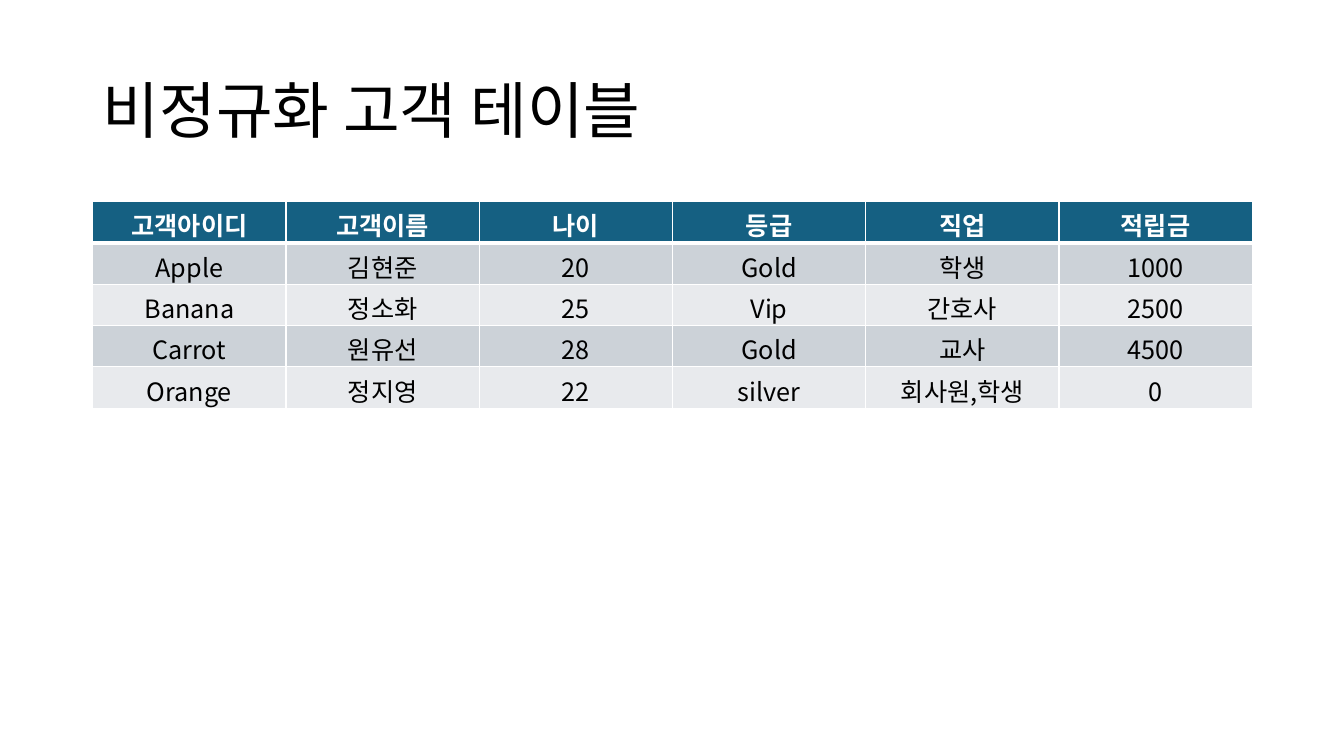
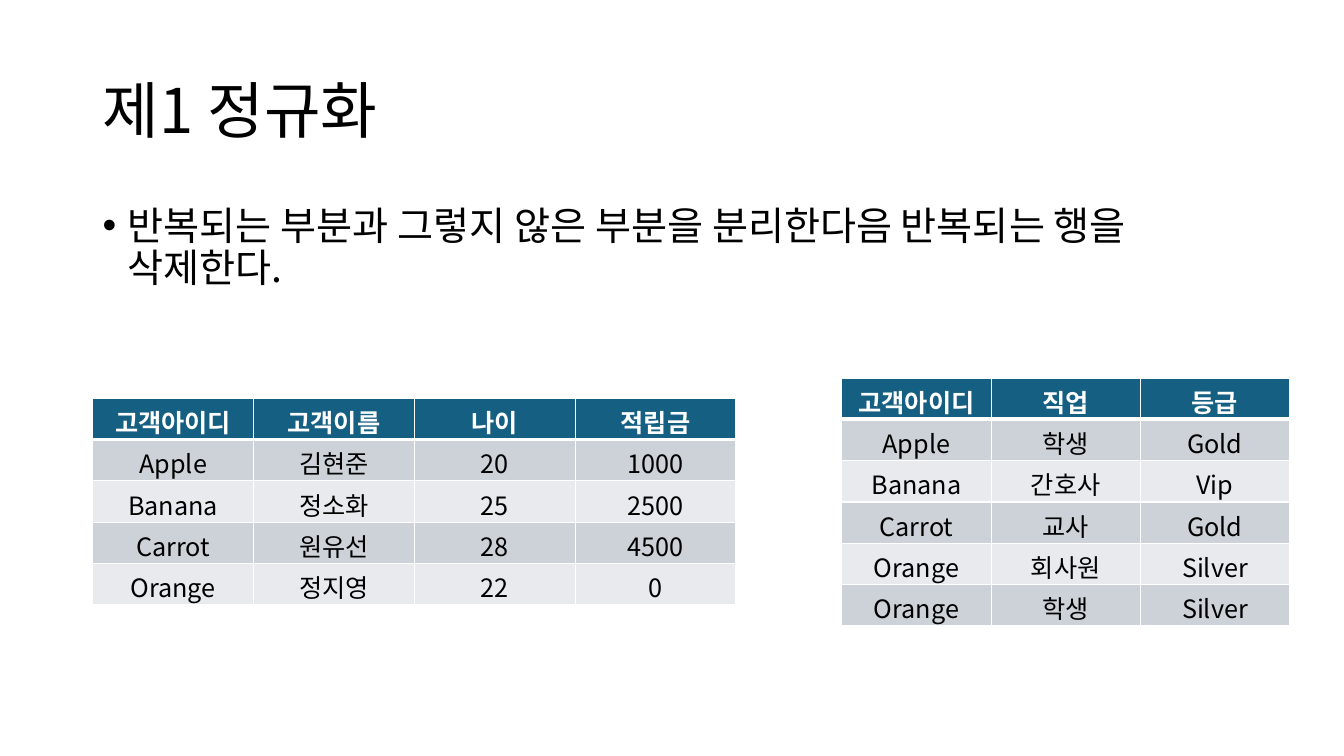
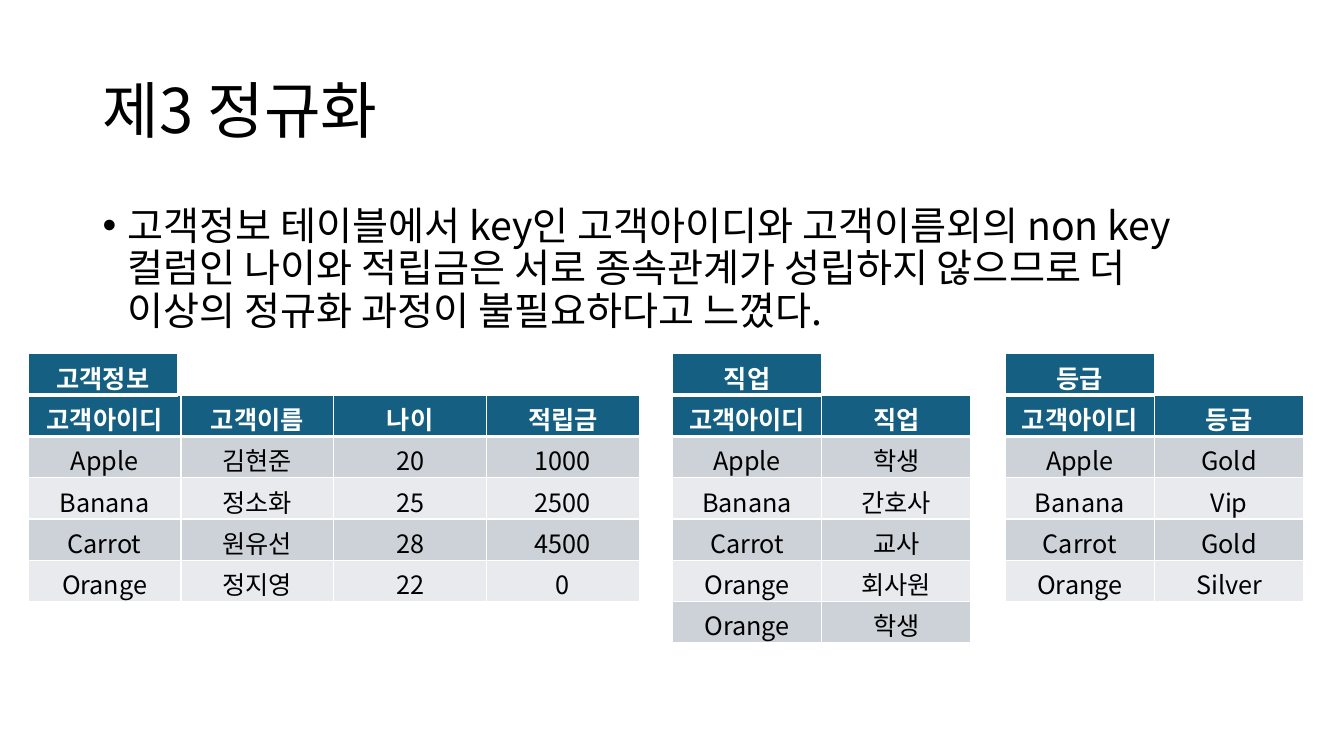
from lxml import etree
from pptx import Presentation
from pptx import util as u
from pptx.dml.color import RGBColor
from pptx.enum import text
from pptx.oxml.ns import qn

FONT = "Noto Sans CJK KR"
COLORS = {"ink": "000000", "white": "FFFFFF", "head": "156082",
          "odd": "CCD2D8", "even": "E8EAED"}
LEFT, WIDTH = 0.92, 11.5
ROW_H, COL_W = 0.41, 1.48

TITLE = {"size": u.Pt(44), "bold": False}
BODY = {"size": u.Pt(28), "bold": False}
HEAD = {"size": u.Pt(18), "bold": True}
CELL = {"size": u.Pt(18), "bold": False}

ID, NAME, AGE, GRADE, JOB, POINTS = FIELDS = (
    "고객아이디", "고객이름", "나이", "등급", "직업", "적립금")
RECORDS = [
    ("Apple", "김현준", "20", "Gold", "학생", "1000"),
    ("Banana", "정소화", "25", "Vip", "간호사", "2500"),
    ("Carrot", "원유선", "28", "Gold", "교사", "4500"),
    ("Orange", "정지영", "22", "silver", "회사원,학생", "0"),
]
CUSTOMERS = [dict(zip(FIELDS, record)) for record in RECORDS]
GRADED = [{**c, GRADE: c[GRADE].capitalize()} for c in CUSTOMERS]
BY_JOB = [{**c, JOB: job} for c in GRADED for job in c[JOB].split(",")]


def pick(rows, *fields):
    return [fields] + [[row[field] for field in fields] for row in rows]


def add_run(p, words, fmt, color):
    r = p.add_run()
    r.text = words
    for key, value in {"name": FONT, **fmt}.items():
        setattr(r.font, key, value)
    r.font.color.rgb = RGBColor.from_string(COLORS[color])
    etree.SubElement(r.font._element, qn("a:ea"), typeface=FONT)


def add_text(s, words, top, height, fmt, anchor):
    sp = s.shapes.add_textbox(*map(u.Inches, (LEFT, top, WIDTH, height)))
    tf = sp.text_frame
    for key, value in {"word_wrap": True, "vertical_anchor": anchor}.items():
        setattr(tf, key, value)
    p = tf.paragraphs[0]
    p.line_spacing = 0.9
    add_run(p, words, fmt, "ink")
    return p


def add_bullet(s, words):
    p = add_text(s, words, 2, 4.76, BODY, text.MSO_ANCHOR.TOP)
    p.space_before = u.Pt(10)
    pPr = p._p.get_or_add_pPr()
    pPr.set("marL", str(u.Inches(0.25)))
    pPr.set("indent", str(u.Inches(-0.25)))
    etree.SubElement(pPr, qn("a:buFont"), typeface="Arial")
    etree.SubElement(pPr, qn("a:buChar"), char="•")


def add_borders(cell, top, bottom):
    tcPr = cell._tc.get_or_add_tcPr()
    for side, points in {"L": 1, "R": 1, "T": top, "B": bottom}.items():
        ln = etree.SubElement(tcPr, qn(f"a:ln{side}"), w=str(u.Pt(points)))
        fill = etree.SubElement(ln, qn("a:solidFill"))
        etree.SubElement(fill, qn("a:srgbClr"), val=COLORS["white"])


def add_grid(s, rows, left, top, width):
    n = len(rows[0])
    box = map(u.Inches, (left, top, width, ROW_H * len(rows)))
    table = s.shapes.add_table(len(rows), n, *box).table
    table.horz_banding = False
    for column in table.columns:
        column.width = u.Inches(width / n)
    for i, row in enumerate(rows):
        table.rows[i].height = u.Inches(ROW_H)
        fill = "head" if i == 0 else "odd" if i % 2 else "even"
        for j, words in enumerate(row):
            cell = table.cell(i, j)
            add_borders(cell, 3 if i == 1 else 1, 3 if i == 0 else 1)
            cell.fill.solid()
            cell.fill.fore_color.rgb = RGBColor.from_string(COLORS[fill])
            cell.vertical_anchor = text.MSO_ANCHOR.MIDDLE
            p = cell.text_frame.paragraphs[0]
            p.alignment = text.PP_ALIGN.CENTER
            add_run(p, words, *((CELL, "ink") if i else (HEAD, "white")))


def add_slide(prs, title, bullet=None):
    s = prs.slides.add_slide(prs.slide_layouts[6])
    add_text(s, title, 0.4, 1.45, TITLE, text.MSO_ANCHOR.MIDDLE)
    if bullet:
        add_bullet(s, bullet)
    return s


def main():
    prs = Presentation()
    prs.slide_width, prs.slide_height = u.Inches(13.33), u.Inches(7.5)
    customer_rows = pick(CUSTOMERS, ID, NAME, AGE, POINTS)

    s = add_slide(prs, "비정규화 고객 테이블")
    add_grid(s, pick(CUSTOMERS, *FIELDS), LEFT, 2, WIDTH)

    s = add_slide(prs, "제1 정규화",
                  "반복되는 부분과 그렇지 않은 부분을 분리한다음 반복되는 행을 삭제한다.")
    add_grid(s, customer_rows, LEFT, 3.95, 6.38)
    add_grid(s, pick(BY_JOB, ID, JOB, GRADE), 8.35, 3.75, 3 * COL_W)

    s = add_slide(prs, "제3 정규화",
                  "고객정보 테이블에서 key인 고객아이디와 고객이름외의 non key 컬럼인 "
                  "나이와 적립금은 서로 종속관계가 성립하지 않으므로 더 이상의 정규화 "
                  "과정이 불필요하다고 느꼈다.")
    for label, rows, left, width in (
            ("고객정보", customer_rows, 0.28, 6.06),
            (JOB, pick(BY_JOB, ID, JOB), 6.67, 2 * COL_W),
            (GRADE, pick(GRADED, ID, GRADE), 9.97, 2 * COL_W)):
        add_grid(s, rows, left, 3.92, width)
        add_grid(s, [[label]], left, 3.92 - ROW_H, COL_W)

    prs.save("out.pptx")


if __name__ == "__main__":
    main()
